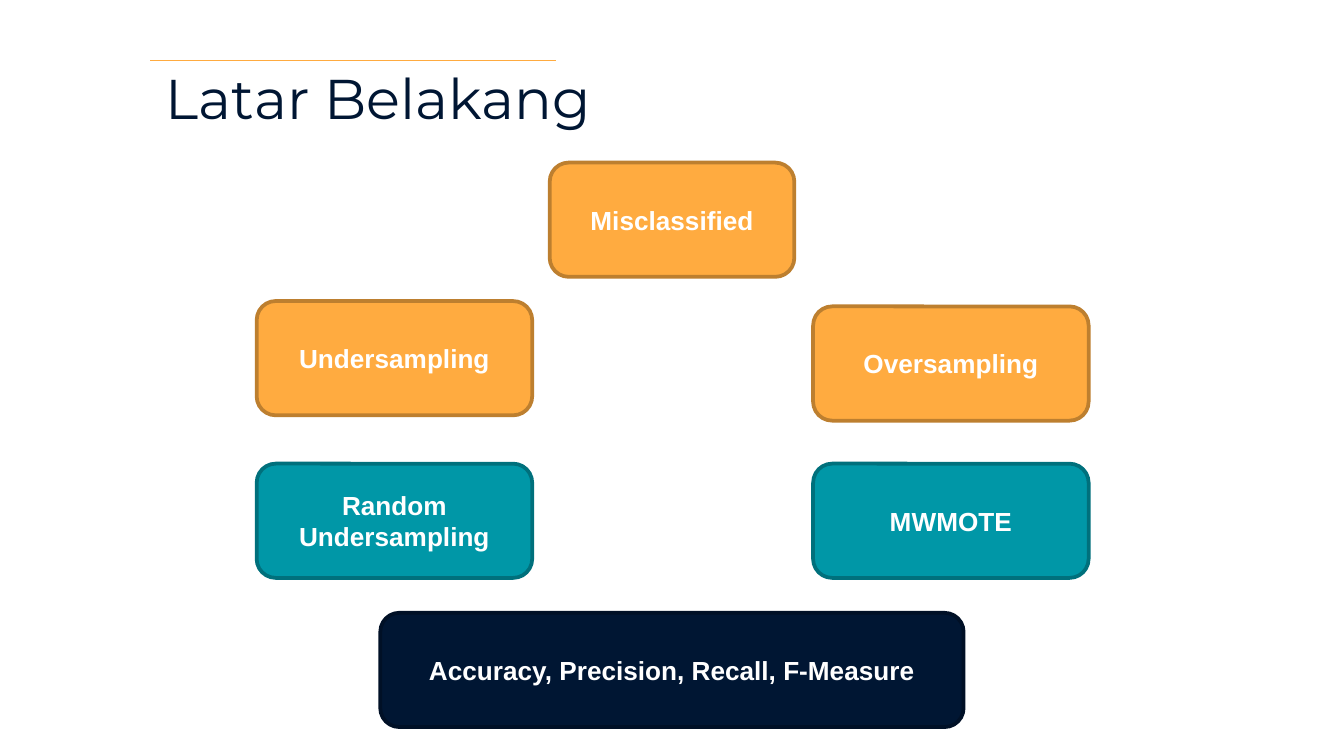
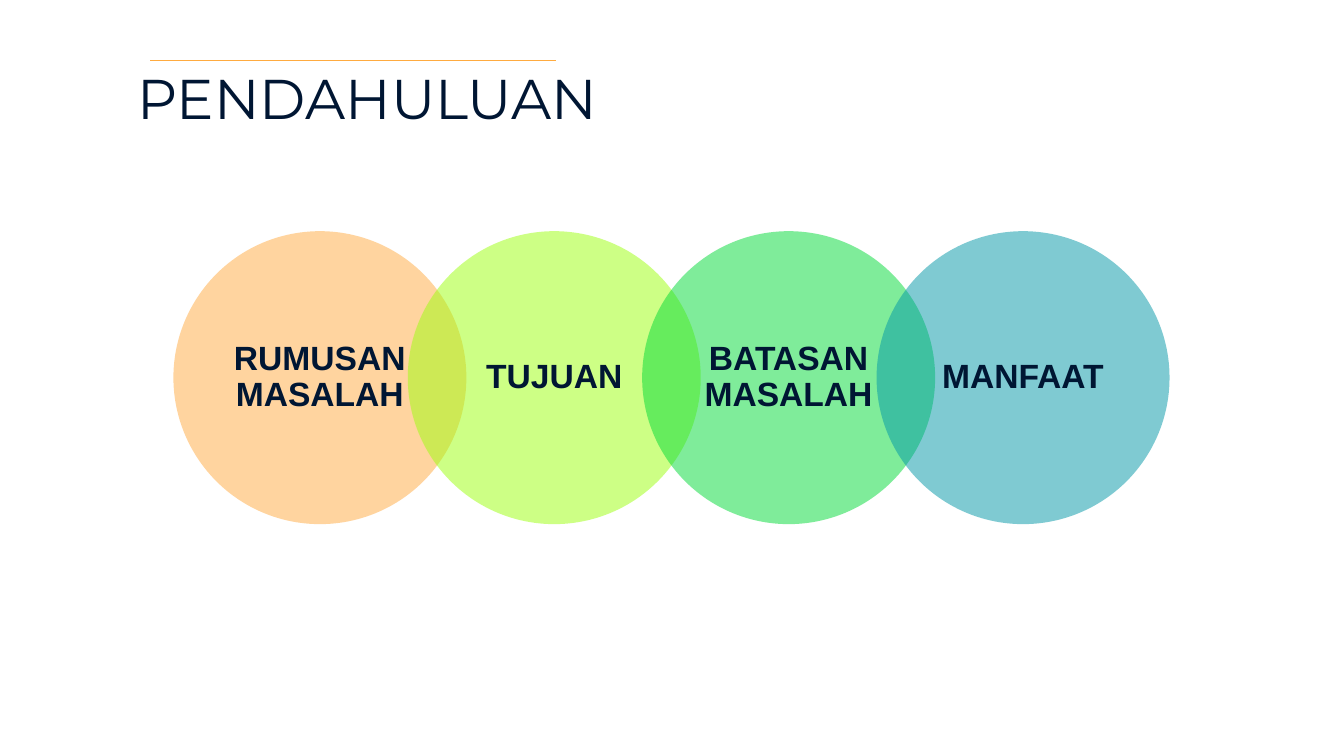
"""Builds two slides on the background and introduction of a sampling study."""
from dataclasses import dataclass

from lxml.etree import SubElement
from pptx import Presentation
from pptx.dml.color import RGBColor
from pptx.enum.shapes import MSO_CONNECTOR, MSO_SHAPE
from pptx.enum.text import MSO_ANCHOR, MSO_AUTO_SIZE, PP_ALIGN
from pptx.oxml.ns import qn
from pptx.util import Inches, Pt


@dataclass(frozen=True)
class Theme:
    navy: str = "001633"
    navy_edge: str = "001026"
    orange: str = "FFAB40"
    orange_edge: str = "BD7F2F"
    teal: str = "0097A7"
    teal_edge: str = "00707C"
    lime: str = "9DFF0D"
    green: str = "00DA37"
    white: str = "FFFFFF"
    title_font: str = "Montserrat"
    body_font: str = "Arial"
    title_size: int = 30
    box_size: int = 14
    circle_size: int = 18
    rule_width: float = 0.75
    edge_width: float = 2


THEME = Theme()


def rgb(color):
    return RGBColor.from_string(color)


def write(tf, text, *, size, color, font=THEME.body_font, bold=False,
          align=PP_ALIGN.CENTER, anchor=MSO_ANCHOR.MIDDLE, spacing=None,
          insets=(0.1, 0.05)):
    tf.word_wrap = True
    tf.auto_size = MSO_AUTO_SIZE.NONE
    tf.vertical_anchor = anchor
    tf.margin_left = tf.margin_right = Inches(insets[0])
    tf.margin_top = tf.margin_bottom = Inches(insets[1])
    p = tf.paragraphs[0]
    p.alignment = align
    if spacing:
        p.line_spacing = spacing
    r = p.add_run()
    r.text = text
    r.font.name = font
    r.font.size = Pt(size)
    r.font.bold = bold
    r.font.color.rgb = rgb(color)


class Deck:
    def __init__(self, theme):
        self.theme = theme
        self.prs = Presentation()
        self.prs.slide_width = Inches(10)
        self.prs.slide_height = Inches(10 * 9 / 16)
        self.s = None

    def slide(self, title, width, align):
        t = self.theme
        self.s = self.prs.slides.add_slide(self.prs.slide_layouts[5])
        sp = self.s.shapes.title
        sp.left, sp.top = Inches(0.92), Inches(0.49)
        sp.width, sp.height = Inches(width), Inches(0.58)
        write(sp.text_frame, title, size=t.title_size, color=t.navy,
              font=t.title_font, align=align, anchor=MSO_ANCHOR.BOTTOM,
              insets=(0.1, 0.1))
        self.rule(1.12, 4.14, 0.45)

    def rule(self, left, right, y):
        line = self.s.shapes.add_connector(
            MSO_CONNECTOR.STRAIGHT, Inches(left), Inches(y), Inches(right), Inches(y))
        line.line.color.rgb = rgb(self.theme.orange)
        line.line.width = Pt(self.theme.rule_width)
        SubElement(line._element.spPr, qn("a:effectLst"))

    def box(self, text, left, top, width, fill, edge):
        t = self.theme
        sp = self.s.shapes.add_shape(
            MSO_SHAPE.ROUNDED_RECTANGLE,
            Inches(left), Inches(top), Inches(width), Inches(0.85))
        sp.shadow.inherit = False
        sp.fill.solid()
        sp.fill.fore_color.rgb = rgb(fill)
        sp.line.color.rgb = rgb(edge)
        sp.line.width = Pt(t.edge_width)
        write(sp.text_frame, text, size=t.box_size, color=t.white, bold=True)

    def circle(self, group, text, left, top, size, fill):
        t = self.theme
        sp = group.shapes.add_shape(
            MSO_SHAPE.OVAL, Inches(left), Inches(top), Inches(size), Inches(size))
        sp.shadow.inherit = False
        sp.fill.solid()
        sp.fill.fore_color.rgb = rgb(fill)
        color = sp._element.spPr.find(qn("a:solidFill"))[0]
        SubElement(color, qn("a:alpha"), val="50000")
        sp.line.fill.background()
        pad = 0.32
        inner = Inches(size - 2 * pad)
        label = group.shapes.add_textbox(
            Inches(left + pad), Inches(top + pad), inner, inner)
        write(label.text_frame, text, size=t.circle_size, color=t.navy,
              bold=True, spacing=0.9, insets=(0.12, 0.03))

    def circle_chain(self, items, left, top, size):
        group = self.s.shapes.add_group_shape()
        for i, (text, fill) in enumerate(items):
            self.circle(group, text, left + i * 0.8 * size, top, size, fill)


def background(deck):
    t = deck.theme
    orange = (t.orange, t.orange_edge)
    teal = (t.teal, t.teal_edge)
    left, right, width = 1.91, 6.05, 2.05
    deck.slide("Latar Belakang", 3.79, PP_ALIGN.CENTER)
    deck.box("Misclassified", 4.09, 1.21, 1.82, *orange)
    deck.box("Undersampling", left, 2.24, width, *orange)
    deck.box("Oversampling", right, 2.28, width, *orange)
    deck.box("Random Undersampling", left, 3.45, width, *teal)
    deck.box("MWMOTE", right, 3.45, width, *teal)
    deck.box("Accuracy, Precision, Recall, F-Measure", 2.83, 4.56, 4.34,
             t.navy, t.navy_edge)


def introduction(deck):
    t = deck.theme
    deck.slide("PENDAHULUAN", 5.58, PP_ALIGN.LEFT)
    deck.circle_chain([("RUMUSAN MASALAH", t.orange), ("TUJUAN", t.lime),
                       ("BATASAN MASALAH", t.green), ("MANFAAT", t.teal)],
                      1.29, 1.72, 2.18)


def main():
    deck = Deck(THEME)
    background(deck)
    introduction(deck)
    deck.prs.save("out.pptx")


if __name__ == "__main__":
    main()
